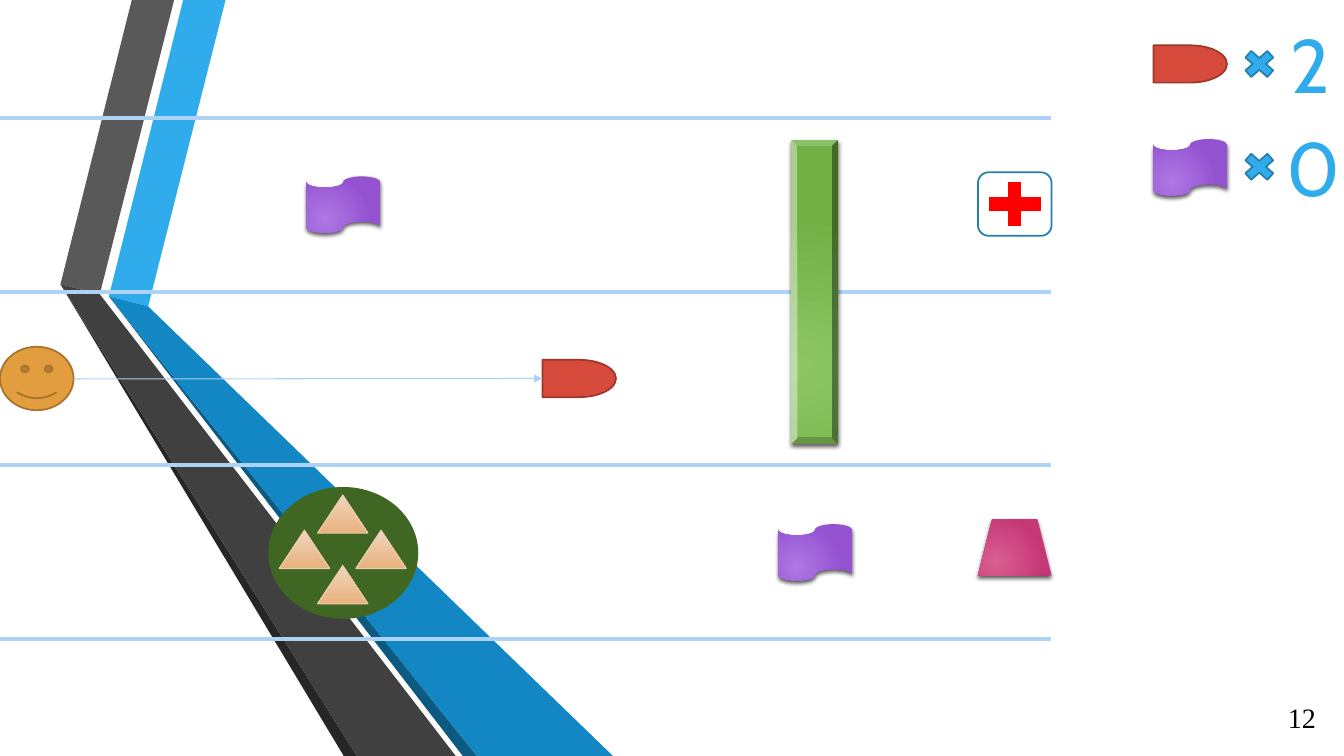
from dataclasses import dataclass

from lxml.etree import SubElement as Sub
from pptx import Presentation
from pptx.dml.color import RGBColor
from pptx.enum.shapes import MSO_CONNECTOR as Conn, MSO_SHAPE as Kind
from pptx.enum.text import MSO_ANCHOR as Anchor, PP_ALIGN as Align
from pptx.oxml.ns import qn
from pptx.util import Inches, Pt

BLUE, EDGE, LANE = "30ACEC", "247FAF", "AED2F4"
RED, RUST = "D64A3B", "9E372C"
GREEN = ("8CC764", "72AF45")
PURPLE = ("AE78E3", "9452D1")
PINK = ("D95F92", "C63777")
SAND = ("F1D5BD", "E7B27D")
TAPE = Kind.FLOWCHART_PUNCHED_TAPE
TOKEN = 0.73  # width of a game piece
STOCK = 11.44  # left edge of the stock counters


@dataclass
class Band:
    color: str
    points: list[tuple[float, float]]


@dataclass
class Piece:
    kind: Kind
    x: float
    y: float
    w: float
    h: float
    fill: str | tuple[str, str]
    edge: str | None = None
    weight: float = 1.25
    glow: bool = False  # radial gradient with a soft shadow


prs = Presentation()
prs.slide_width, prs.slide_height = Inches(13.33), Inches(7.5)
slide = prs.slides.add_slide(prs.slide_layouts[6])
shapes = slide.shapes


def rgb(color: str) -> RGBColor:
    return RGBColor.from_string(color)


def draw_band(band: Band) -> None:
    first, *rest = [(Inches(x), Inches(y)) for x, y in band.points]
    form = shapes.build_freeform(*first)
    form.add_line_segments(rest, close=True)
    shape = form.convert_to_shape()
    shape.shadow.inherit = False
    shape.fill.solid()
    shape.fill.fore_color.rgb = rgb(band.color)
    shape.line.fill.background()


def add_glow(shape) -> None:
    props = shape._element.spPr
    grad = props.find(qn("a:gradFill"))
    grad.remove(grad.find(qn("a:lin")))
    ring = Sub(grad, qn("a:path"), {"path": "circle"})
    Sub(ring, qn("a:fillToRect"), {"l": "50000", "t": "100000", "r": "100000", "b": "50000"})
    shade = Sub(props.find(qn("a:effectLst")), qn("a:outerShdw"), {
        "blurRad": str(Pt(3)), "dist": str(Pt(2)), "dir": "5400000",
        "algn": "ctr", "rotWithShape": "0"})
    tint = Sub(shade, qn("a:srgbClr"), {"val": "000000"})
    Sub(tint, qn("a:alpha"), {"val": "64000"})


def draw_piece(piece: Piece):
    box = [Inches(v) for v in (piece.x, piece.y, piece.w, piece.h)]
    shape = shapes.add_shape(piece.kind, *box)
    shape.shadow.inherit = False
    if isinstance(piece.fill, str):
        shape.fill.solid()
        shape.fill.fore_color.rgb = rgb(piece.fill)
    else:
        shape.fill.gradient()
        shape.fill.gradient_angle = 270
        for stop, color in zip(shape.fill.gradient_stops, piece.fill):
            stop.color.rgb = rgb(color)
    if piece.edge:
        shape.line.color.rgb = rgb(piece.edge)
        shape.line.width = Pt(piece.weight)
    else:
        shape.line.fill.background()
    if piece.glow:
        add_glow(shape)
    return shape


def draw_line(x1: float, x2: float, y: float, weight: float):
    line = shapes.add_connector(Conn.STRAIGHT, Inches(x1), Inches(y), Inches(x2), Inches(y))
    line.line.color.rgb = rgb(LANE)
    line.line.width = Pt(weight)
    Sub(line._element.spPr, qn("a:effectLst"))
    return line


def add_text(text: str, x: float, y: float, w: float, h: float, *, size: int, font: str,
             color: str, align: Align, anchor: Anchor = Anchor.TOP, wrap: bool = True) -> None:
    frame = shapes.add_textbox(Inches(x), Inches(y), Inches(w), Inches(h)).text_frame
    frame.word_wrap = wrap
    frame.vertical_anchor = anchor
    para = frame.paragraphs[0]
    para.alignment = align
    run = para.add_run()
    run.text = text
    run.font.size, run.font.name = Pt(size), font
    run.font.color.rgb = rgb(color)


# Folded ribbons in the background
for band in (
    Band(BLUE, [(1.08, 2.94), (1.47, 3.04), (2.24, -0.01), (1.82, -0.01)]),
    Band("595959", [(0.99, 2.92), (1.73, -0.01), (1.31, -0.01), (0.6, 2.82)]),
    Band("262626", [(0.6, 2.82), (3.41, 7.5), (3.54, 7.5)]),
    Band("0C5A82", [(4.73, 7.5), (1.08, 2.94), (4.59, 7.5)]),
    Band("1287C3", [(1.08, 2.94), (4.73, 7.5), (6.08, 7.5), (1.47, 3.04)]),
    Band("404040", [(4.52, 7.5), (1.06, 3.01), (0.99, 2.92), (0.6, 2.82), (3.54, 7.5)]),
):
    draw_band(band)

# Four lanes
for i in range(4):
    draw_line(0, 10.42, 1.17 + 1.723 * i, 3)

# Player firing a bullet
draw_piece(Piece(Kind.SMILEY_FACE, 0, 3.44, TOKEN, 0.63, "E29D3E", "A7742E"))
bullet = draw_piece(Piece(Kind.FLOWCHART_DELAY, 5.38, 3.57, TOKEN, 0.37, RED, RUST))
shot = draw_line(TOKEN, 5.38, 3.76, 0.75)
shot.end_connect(bullet, 1)
Sub(shot.line._get_or_add_ln(), qn("a:tailEnd"), {"type": "triangle"})

# Wall, flags, first-aid box and bucket
for piece in (
    Piece(Kind.BEVEL, 7.85, 1.39, 0.46, 3.01, GREEN, glow=True),
    Piece(TAPE, 3.04, 1.75, TOKEN, 0.56, PURPLE, glow=True),
    Piece(TAPE, 7.72, 5.2, TOKEN, 0.56, PURPLE, glow=True),
    Piece(Kind.ROUNDED_RECTANGLE, 9.7, 1.71, TOKEN, 0.63, "FFFFFF", EDGE),
    Piece(Kind.MATH_PLUS, 9.7, 1.71, TOKEN, 0.63, "FF0000", "FFFFFF"),
    Piece(Kind.TRAPEZOID, 9.7, 5.15, TOKEN, 0.56, PINK, glow=True),
):
    draw_piece(piece)

# Stock counters
draw_piece(Piece(Kind.FLOWCHART_DELAY, STOCK, 0.45, TOKEN, 0.37, RED, RUST))
draw_piece(Piece(TAPE, STOCK, 1.38, TOKEN, 0.56, PURPLE, glow=True))
for count, top in (("2", 0.13), ("0", 1.15)):
    draw_piece(Piece(Kind.MATH_MULTIPLY, 12.28, top + 0.32, 0.42, 0.37, BLUE, EDGE))
    add_text(count, 12.66, top, 0.67, 1.01, size=54, font="Cabin", color=BLUE,
             align=Align.CENTER, wrap=False)

# Round trap with four spikes
draw_piece(Piece(Kind.OVAL, 2.67, 4.84, 1.47, 1.29, "3F6623", "3F6623"))
for dx, dy in ((0, -1), (0, 1), (1, 0), (-1, 0)):
    draw_piece(Piece(Kind.ISOSCELES_TRIANGLE, 3.15 + 0.38 * dx, 5.26 + 0.35 * dy,
                     0.5, 0.38, SAND, "EECCAF", 0.75))

# Page number
add_text("12", 12.55, 6.92, 0.6, 0.4, size=20, font="Times New Roman", color="000000",
         align=Align.RIGHT, anchor=Anchor.MIDDLE)

prs.save("out.pptx")
